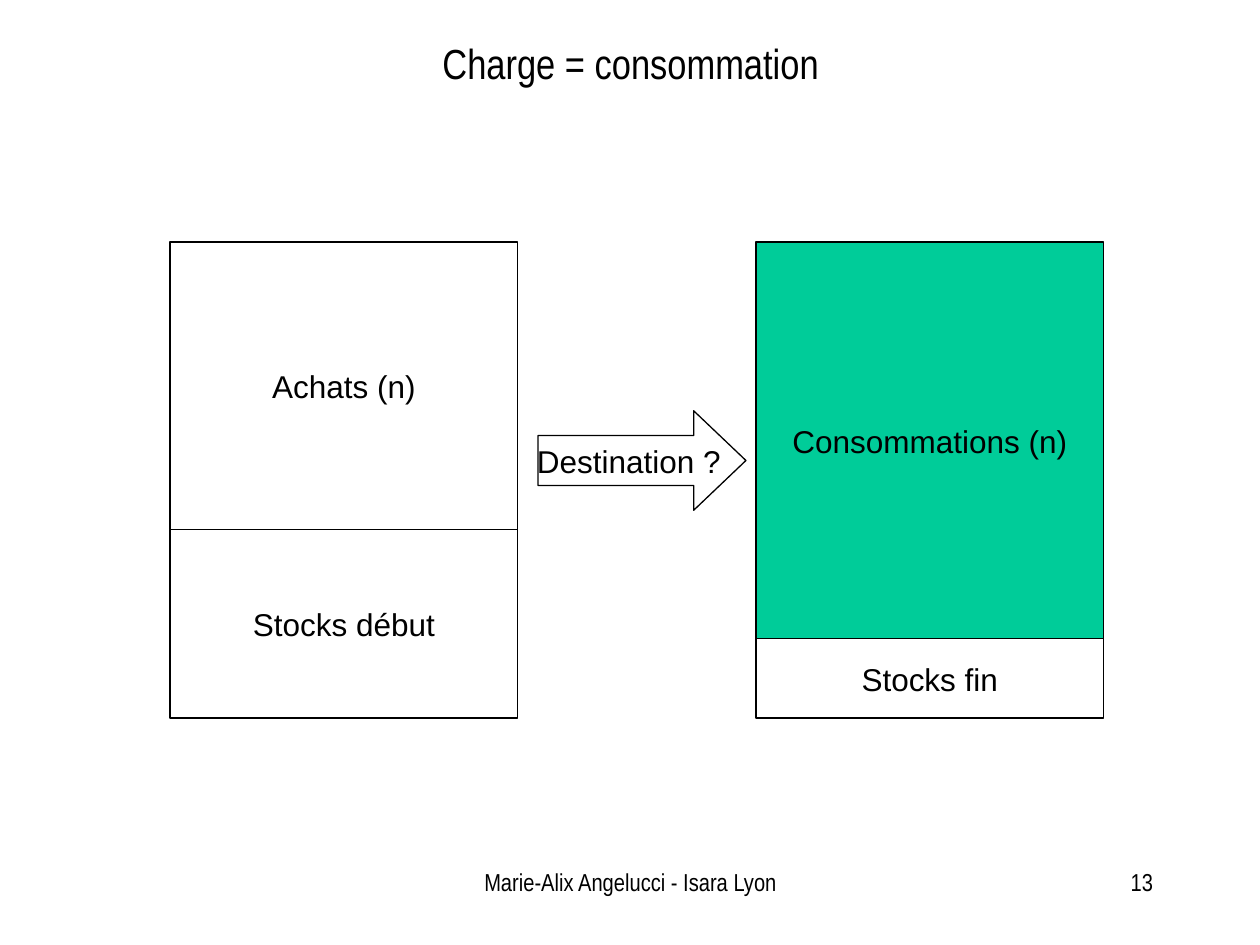
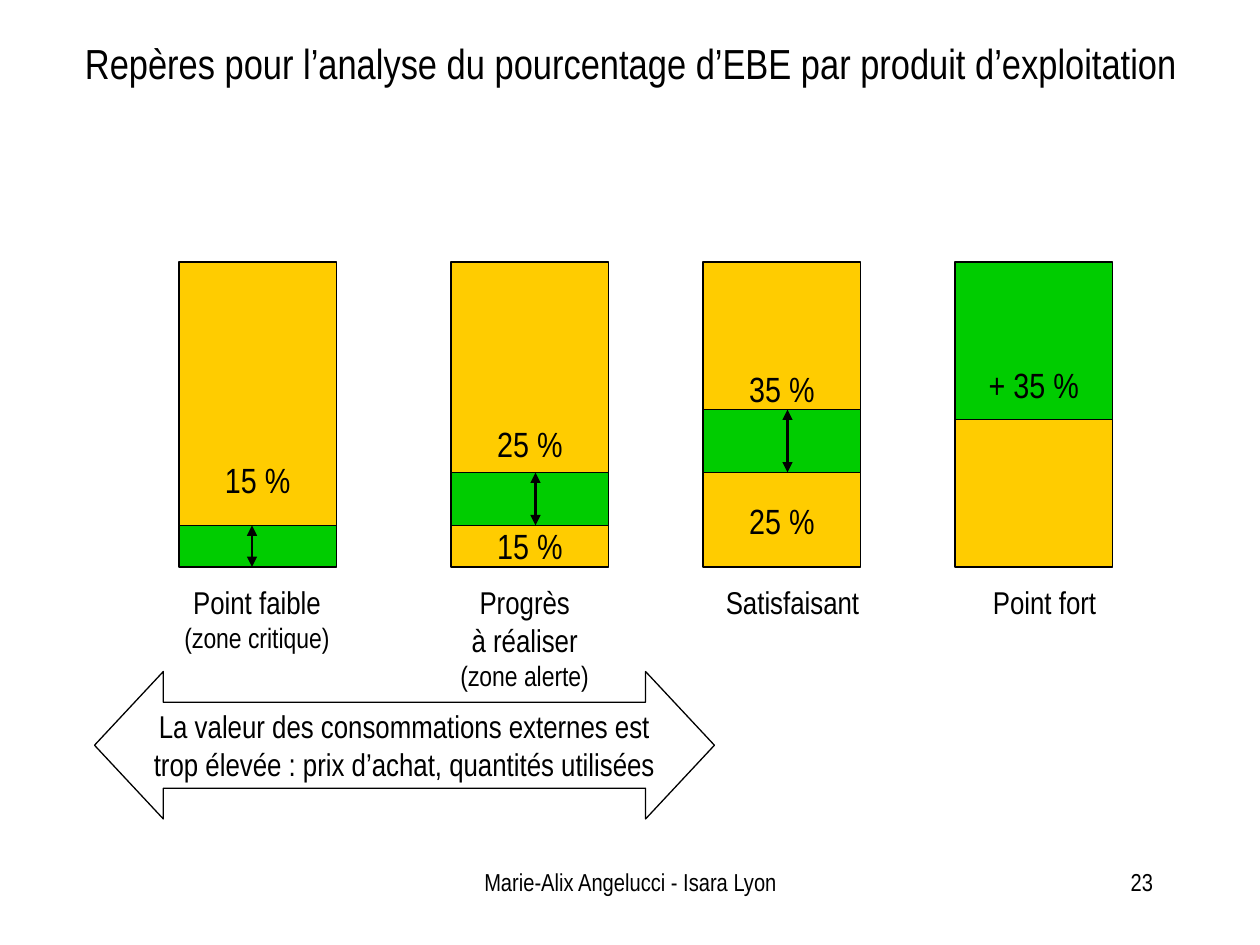
from lxml import etree
from pptx import Presentation
from pptx.dml.color import RGBColor
from pptx.enum import shapes, text
from pptx.oxml import ns
from pptx.util import Inches, Pt

# Content
FOOT = "Marie-Alix Angelucci - Isara Lyon"
STOCK = {
    "title": "Charge = consommation", "page": "13",
    # left, then (label, height, fill) from the top down
    "stacks": [
        (1.35, [("Achats (n)", 2.28, None), ("Stocks début", 1.5, None)]),
        (6, [("Consommations (n)", 3.15, "00CC99"), ("Stocks fin", 0.63, None)]),
    ],
    "arrow": "Destination ?",
}
GOLD, GREEN = "FFCC00", "00CC00"
MARKS = {
    "title": "Repères pour l’analyse du pourcentage d’EBE par produit d’exploitation",
    "page": "23",
    # left, parts (label, height, fill, gap under label), arrow offset,
    # caption (left, width), caption lines (text, size)
    "bars": [
        (1.42, [("15 %", 2.09, GOLD, 0.2), ("", 0.33, GREEN, 0)], 0.58,
         (1, 2.08), [("Point faible", 18), ("(zone critique)", 16)]),
        (3.58, [("25 %", 1.67, GOLD, 0.06), ("", 0.42, GREEN, 0),
                ("15 %", 0.33, GOLD, 0)], 0.67,
         (3.25, 1.83), [("Progrès", 18), ("à réaliser", 18), ("(zone alerte)", 16)]),
        (5.58, [("35 %", 1.17, GOLD, 0), ("", 0.5, GREEN, 0),
                ("25 %", 0.75, GOLD, 0.2)], 0.67,
         (5.33, 1.92), [("Satisfaisant", 18)]),
        (7.58, [("+ 35 %", 1.25, GREEN, 0.11), ("", 1.17, GOLD, 0)], None,
         (7.33, 1.92), [("Point fort", 18)]),
    ],
    "arrow": "La valeur des consommations externes est trop élevée : "
             "prix d’achat, quantités utilisées",
}

# Shared style
WIDE, SLIM = "Arial", "Arial Narrow"
INK, WHITE = "000000", "FFFFFF"
KIND = shapes.MSO_SHAPE
MID, LOW, TOP = (text.MSO_ANCHOR.MIDDLE, text.MSO_ANCHOR.BOTTOM,
                 text.MSO_ANCHOR.TOP)
CENTER, RIGHT = text.PP_ALIGN.CENTER, text.PP_ALIGN.RIGHT


def rgb(code):
    return RGBColor.from_string(code)


def write(shape, lines, font, align=CENTER, anchor=MID, wrap=True):
    """Fill a shape with (text, size) paragraphs."""
    frame = shape.text_frame
    frame.word_wrap = wrap
    frame.vertical_anchor = anchor
    for i, (words, size) in enumerate(lines):
        para = frame.add_paragraph() if i else frame.paragraphs[0]
        para.text = words
        para.alignment = align
        para.font.size = Pt(size)
        para.font.name = font
        para.font.color.rgb = rgb(INK)
    return frame


def label(slide, box, lines, align=CENTER):
    note = slide.shapes.add_textbox(*map(Inches, box))
    write(note, lines, SLIM, align, TOP)


def block(slide, box, fill=None, line=INK, width=0.75, kind=KIND.RECTANGLE):
    shape = slide.shapes.add_shape(kind, *map(Inches, box))
    shape.shadow.inherit = False
    if fill:
        shape.fill.solid()
        shape.fill.fore_color.rgb = rgb(fill)
    else:
        shape.fill.background()
    shape.line.color.rgb = rgb(line)
    shape.line.width = Pt(width)
    return shape


def span(slide, x, top, end):
    """Draw a vertical arrow with a head at each end."""
    line = slide.shapes.add_connector(
        shapes.MSO_CONNECTOR.STRAIGHT, *map(Inches, (x, top, x, end)))
    line.line.color.rgb = rgb(INK)
    line.line.width = Pt(1.5)
    for tag in ("a:headEnd", "a:tailEnd"):
        etree.SubElement(line.line._get_or_add_ln(), ns.qn(tag), type="triangle")
    etree.SubElement(line._element.spPr, ns.qn("a:effectLst"))


def start(deck, data):
    """Add a slide with its title, footer and page number."""
    slide = deck.slides.add_slide(deck.slide_layouts[6])
    head = block(slide, (0.17, 0.23, 9.67, 0.53), line=WHITE, width=2.25)
    write(head, [(data["title"], 24)], SLIM)
    label(slide, (3.42, 6.83, 3.17, 0.5), [(FOOT, 14)])
    label(slide, (7.17, 6.83, 2.08, 0.5), [(data["page"], 14)], RIGHT)
    return slide


def stock(deck):
    slide = start(deck, STOCK)
    for left, parts in STOCK["stacks"]:
        top = 1.92
        for name, high, fill in parts:
            part = block(slide, (left, top, 2.76, high), fill)
            write(part, [(name, 18)], WIDE, wrap=False)
            top += high
    # Arrow between the stacks
    arrow = block(slide, (4.27, 3.26, 1.65, 0.79), kind=KIND.RIGHT_ARROW)
    arrow.adjustments[1] = 0.525
    write(arrow, [(STOCK["arrow"], 18)], WIDE, wrap=False)


def marks(deck):
    slide = start(deck, MARKS)
    for left, parts, shift, (x, wide), lines in MARKS["bars"]:
        # Bar
        top = 2.08
        for name, high, fill, gap in parts:
            part = block(slide, (left, top, 1.25, high), fill)
            if name:
                frame = write(part, [(name, 20)], SLIM, anchor=LOW, wrap=False)
                frame.margin_top = 0
                frame.margin_bottom = Inches(gap)
            elif shift:
                span(slide, left + shift, top, top + high)
            top += high
        # Caption
        label(slide, (x, 4.58, wide, 0.1 + 0.3 * len(lines)), lines)
    # Remark under the weak bars
    arrow = block(slide, (0.75, 5.33, 4.92, 1.17), WHITE,
                  kind=KIND.LEFT_RIGHT_ARROW)
    arrow.adjustments[0], arrow.adjustments[1] = 0.583, 0.467
    write(arrow, [(MARKS["arrow"], 18)], SLIM)


def main():
    deck = Presentation()
    deck.slide_width, deck.slide_height = Inches(10), Inches(7.5)
    stock(deck)
    marks(deck)
    deck.save("out.pptx")


if __name__ == "__main__":
    main()
